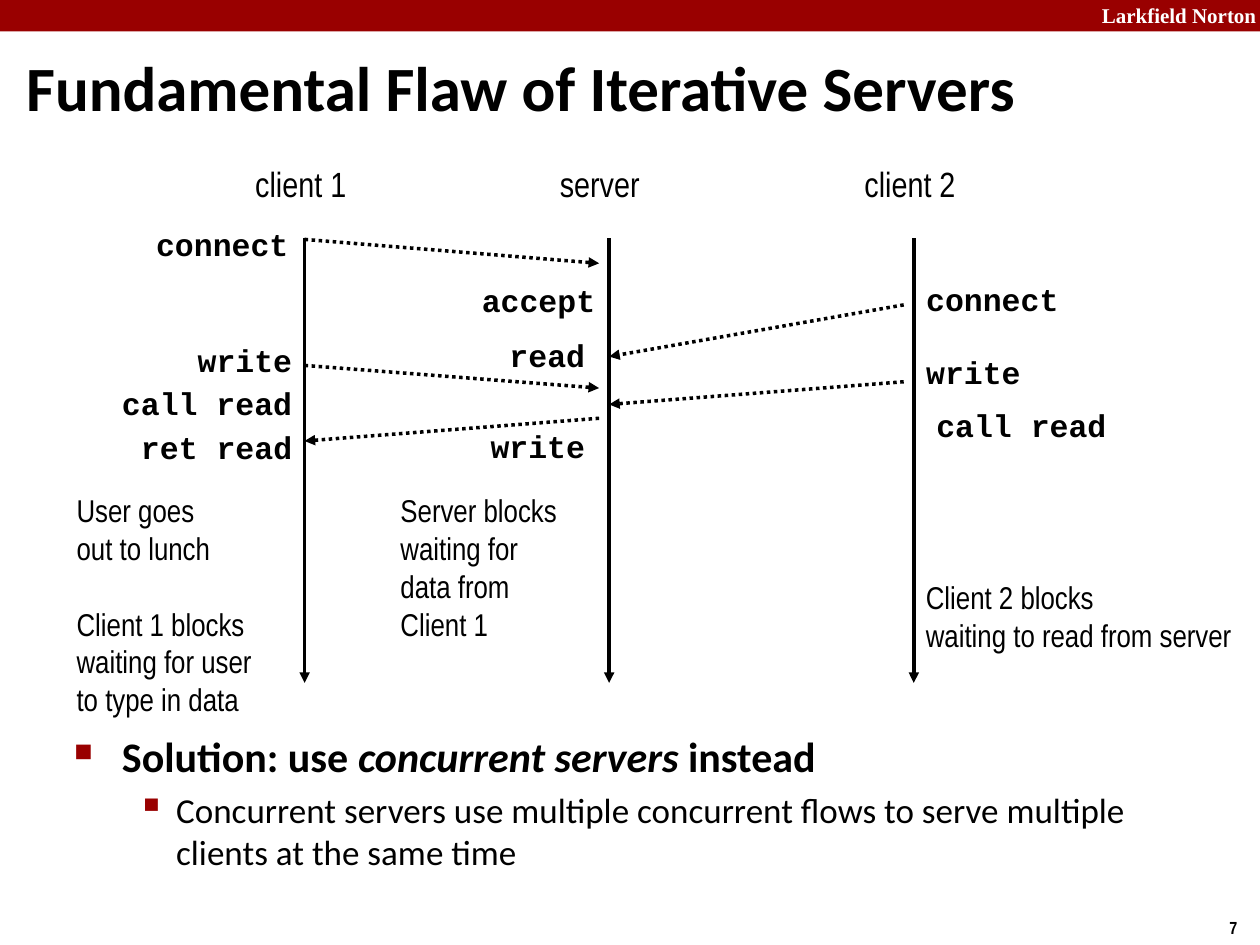
from lxml.etree import SubElement
from pptx import Presentation
from pptx.dml.color import RGBColor
from pptx.enum.dml import MSO_LINE
from pptx.enum.shapes import MSO_CONNECTOR, MSO_SHAPE
from pptx.enum.text import MSO_ANCHOR, MSO_AUTO_SIZE, PP_ALIGN
from pptx.oxml.ns import qn
from pptx.util import Inches, Pt

W, H = 10, 7.5
BLACK, WHITE, RED = "000000", "FFFFFF", "990000"
SANS, NARROW, MONO, SERIF = "Calibri", "Arial Narrow", "Courier New", "Times New Roman"

LANES = ["client 1", "server", "client 2"]
# text, lane, side of the lane, gap to the lane, top within the diagram
CALLS = [
    ("connect", 0, "left", 0.03, 0.50),
    ("write", 0, "left", 0, 1.42),
    ("call read", 0, "left", 0, 1.76),
    ("ret read", 0, "left", 0, 2.11),
    ("accept", 1, "left", 0, 0.94),
    ("read", 1, "left", 0.08, 1.38),
    ("write", 1, "left", 0.08, 2.10),
    ("connect", 2, "right", 0, 0.93),
    ("write", 2, "right", 0, 1.51),
    ("call read", 2, "right", 0.08, 1.93),
]
# sending lane, receiving lane, start and end height within the diagram
MESSAGES = [
    (0, 1, 0.66, 0.85),
    (2, 1, 1.18, 1.59),
    (0, 1, 1.66, 1.84),
    (2, 1, 1.79, 1.97),
    (1, 0, 2.08, 2.26),
]
# left, top, width, height within the diagram, then groups of lines
NOTES = [
    (0.51, 2.61, 1.90, 1.90, [["User goes", "out to lunch"],
                              ["Client 1 blocks", "waiting for user", "to type in data"]]),
    (3.08, 2.61, 1.72, 1.30, [["Server blocks", "waiting for", "data from", "Client 1"]]),
    (7.25, 3.30, 2.66, 0.71, [["Client 2 blocks", "waiting to read from server"]]),
]


def color(hex_string):
    """Turn a hex string into a colour."""
    return RGBColor.from_string(hex_string)


def add_box(s, x, y, w, h, wrap=False, anchor=MSO_ANCHOR.TOP):
    """Add an empty text box and return its text frame."""
    tf = s.shapes.add_textbox(Inches(x), Inches(y), Inches(w), Inches(h)).text_frame
    tf.word_wrap = wrap
    tf.auto_size = MSO_AUTO_SIZE.NONE if wrap else MSO_AUTO_SIZE.SHAPE_TO_FIT_TEXT
    tf.vertical_anchor = anchor
    return tf


def add_run(p, text, size=18, font=NARROW, fill=BLACK, bold=False, italic=False):
    """Add one formatted run to a paragraph."""
    r = p.add_run()
    r.text = text
    r.font.size, r.font.name = Pt(size), font
    r.font.bold, r.font.italic = bold, italic
    r.font.color.rgb = color(fill)


def add_label(s, box, text, align=PP_ALIGN.LEFT, wrap=False,
              anchor=MSO_ANCHOR.TOP, **fmt):
    """Add a one-line text box."""
    p = add_box(s, *box, wrap=wrap, anchor=anchor).paragraphs[0]
    p.alignment = align
    add_run(p, text, **fmt)


def add_bullet(p, char, percent, left, hang):
    """Give a paragraph a red bullet and a hanging indent."""
    pPr = p._p.get_or_add_pPr()
    pPr.set("marL", str(Inches(left)))
    pPr.set("indent", str(-Inches(hang)))
    clr = SubElement(pPr, qn("a:buClr"))
    SubElement(clr, qn("a:srgbClr"), val=RED)
    SubElement(pPr, qn("a:buSzPct"), val=str(percent * 1000))
    SubElement(pPr, qn("a:buChar"), char=char)


def add_arrow(s, x1, y1, x2, y2, dash=None):
    """Add a black arrow, dotted when a dash style is given."""
    c = s.shapes.add_connector(MSO_CONNECTOR.STRAIGHT, Inches(x1), Inches(y1),
                               Inches(x2), Inches(y2))
    c.line.width = Pt(2)
    c.line.color.rgb = color(BLACK)
    if dash:
        c.line.dash_style = dash
    SubElement(c.line._get_or_add_ln(), qn("a:tailEnd"), type="triangle")
    SubElement(c._element.spPr, qn("a:effectLst"))


def add_frame(s, w, h):
    """Add the top bar, its name and the slide number."""
    bar = s.shapes.add_shape(MSO_SHAPE.RECTANGLE, 0, 0, Inches(w), Inches(h / 30))
    bar.shadow.inherit = False
    bar.fill.solid()
    bar.fill.fore_color.rgb = color(RED)
    bar.line.fill.background()
    add_label(s, (w - 1.98, -0.03, 2.05, 0.3), "Larkfield Norton", PP_ALIGN.RIGHT,
              wrap=True, size=12, font=SERIF, fill=WHITE, bold=True)
    add_label(s, (w - 0.34, h - 0.27, 0.34, 0.27), "7", size=10, bold=True)


def add_diagram(s, x, y, w, h):
    """Add the sequence diagram, with its lanes at quarters of the width."""
    lanes = [x + w / 4 * (i + 1) for i in range(len(LANES))]
    for name, lane in zip(LANES, lanes):
        width = 0.84 if name == "server" else 0.93
        add_label(s, (lane - 0.49, y, width, 0.44), name, size=20)
        add_arrow(s, lane, y + 0.65, lane, y + 4.18)

    for start, end, y1, y2 in MESSAGES:
        # the right-hand end stops short of its lane
        x1, x2 = (lanes[i] - (0.08 if i == max(start, end) else 0) for i in (start, end))
        add_arrow(s, x1, y + y1, x2, y + y2, MSO_LINE.ROUND_DOT)

    for text, i, side, gap, top in CALLS:
        width = 0.15 * len(text) + 0.21
        left = lanes[i] + gap if side == "right" else lanes[i] - gap - width
        align = PP_ALIGN.RIGHT if i == 0 else PP_ALIGN.LEFT
        add_label(s, (left, y + top, width, 0.4), text, align, font=MONO, bold=True)

    for left, top, width, height, groups in NOTES:
        tf = add_box(s, x + left, y + top, width, height)
        for g, group in enumerate(groups):
            for n, line in enumerate(group):
                p = tf.add_paragraph() if g or n else tf.paragraphs[0]
                if g and not n:
                    p.space_before = Pt(21.6)
                add_run(p, line)


def add_solution(s, x, y, w, h):
    """Add the closing bullet and its sub-bullet."""
    tf = add_box(s, x, y, w, h, wrap=True)
    p = tf.paragraphs[0]
    p.space_before = Pt(4.8)
    add_bullet(p, "\u25a0", 60, 0.38, 0.38)
    for text, italic in [("Solution: use ", False), ("concurrent servers ", True),
                         ("instead", False)]:
        add_run(p, text, size=24, font=SANS, bold=True, italic=italic)
    p = tf.add_paragraph()
    p.level = 1
    p.space_before = Pt(4)
    add_bullet(p, "\u25aa", 110, 0.81, 0.31)
    add_run(p, "Concurrent servers use multiple concurrent flows to serve "
               "multiple clients at the same time", size=20, font=SANS)


prs = Presentation()
prs.slide_width, prs.slide_height = Inches(W), Inches(H)
s = prs.slides.add_slide(prs.slide_layouts[6])
add_frame(s, W, H)
add_label(s, (0.11, 0.37, 9.83, 0.63), "Fundamental Flaw of Iterative Servers",
          wrap=True, anchor=MSO_ANCHOR.MIDDLE, size=36, font=SANS, bold=True)
add_diagram(s, 0, 1.24, 9.67, 4.51)
add_solution(s, 0.49, 5.75, 9.26, 1.26)
prs.save("out.pptx")
